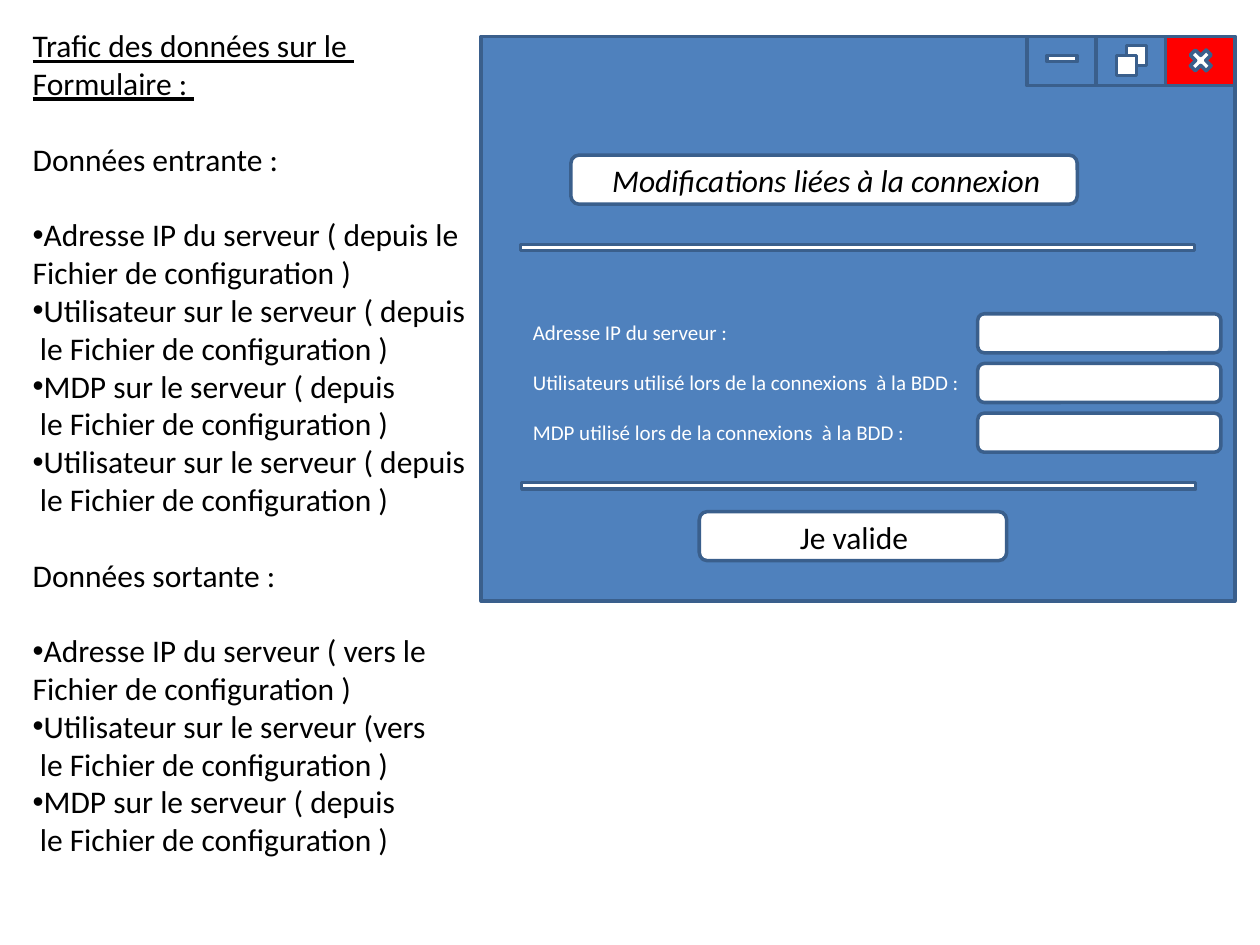
from lxml import etree
from pptx import Presentation
from pptx.dml.color import RGBColor
from pptx.enum.shapes import MSO_SHAPE
from pptx.enum.text import MSO_ANCHOR, MSO_AUTO_SIZE, PP_ALIGN
from pptx.oxml.ns import qn
from pptx.util import Pt

RECT = MSO_SHAPE.RECTANGLE
ROUND = MSO_SHAPE.ROUNDED_RECTANGLE
CROSS = MSO_SHAPE.MATH_MULTIPLY
TOP, LEFT = MSO_ANCHOR.TOP, PP_ALIGN.LEFT
FIT, NO_FIT = MSO_AUTO_SIZE.SHAPE_TO_FIT_TEXT, MSO_AUTO_SIZE.NONE

FONT = "Calibri"
BLUE, EDGE, RED, WHITE, BLACK = "4F81BD", "3A5F8C", "FF0000", "FFFFFF", "000000"
LINE_HEIGHT = 21.6

HEADING = ["Trafic des données sur le ", "Formulaire : "]
FLOWS = [
    ("Données entrante :", [
        ("Adresse IP du serveur ( depuis le", "Fichier de configuration )"),
        ("Utilisateur sur le serveur ( depuis", " le Fichier de configuration )"),
        ("MDP sur le serveur ( depuis", " le Fichier de configuration )"),
        ("Utilisateur sur le serveur ( depuis", " le Fichier de configuration )"),
    ]),
    ("Données sortante :", [
        ("Adresse IP du serveur ( vers le", "Fichier de configuration )"),
        ("Utilisateur sur le serveur (vers", " le Fichier de configuration )"),
        ("MDP sur le serveur ( depuis", " le Fichier de configuration )"),
    ]),
]
FIELDS = [
    ("Adresse IP du serveur :", 126.7),
    ("Utilisateurs utilisé lors de la connexions  à la BDD :", 261.4),
    ("MDP utilisé lors de la connexions  à la BDD :", 229.7),
]

WINDOW = (275, 20.9, 430.6, 322.6)
BUTTON_WIDTH, BUTTON_HEIGHT = 39.6, 28.1
BUTTON_FILLS = [BLUE, BLUE, RED]
FIELD_TOP, FIELD_STEP = 179.3, 28.4


def color(value):
    return RGBColor.from_string(value)


def add_box(page, kind, left, top, width, height, fill=WHITE):
    box = page.shapes.add_shape(kind, Pt(left), Pt(top), Pt(width), Pt(height))
    box.shadow.inherit = False
    box.fill.solid()
    box.fill.fore_color.rgb = color(fill)
    box.line.color.rgb = color(EDGE)
    box.line.width = Pt(2)
    return box


def place(shape, left, top, width, height):
    shape.left, shape.top = Pt(left), Pt(top)
    shape.width, shape.height = Pt(width), Pt(height)


def write(frame, text, first=False, size=18, ink=BLACK, italic=False,
          underline=False, bullet=False, before=0):
    para = frame.paragraphs[0] if first else frame.add_paragraph()
    para.alignment = LEFT
    para.space_before = Pt(before)
    span = para.add_run()
    span.text = text
    font = span.font
    font.name, font.size = FONT, Pt(size)
    font.italic, font.underline = italic, underline
    font.color.rgb = color(ink)
    properties = para._p.get_or_add_pPr()
    properties.set("marL", "0")
    properties.set("indent", "0")
    if bullet:
        etree.SubElement(properties, qn("a:buFont")).set("typeface", "Arial")
        etree.SubElement(properties, qn("a:buChar")).set("char", "•")
    else:
        etree.SubElement(properties, qn("a:buNone"))


def prepare(frame, wrap=False, fit=NO_FIT):
    frame.word_wrap = wrap
    frame.auto_size = fit
    frame.vertical_anchor = TOP
    return frame


def add_label(page, text, left, top, width, height, wrap=False, **style):
    box = page.shapes.add_textbox(Pt(left), Pt(top), Pt(width), Pt(height))
    write(prepare(box.text_frame, wrap, FIT), text, first=True, **style)


def add_traffic(page):
    title, body = page.placeholders
    left, top, width = 11.5, 11.5, 265
    place(title, left, top, width, 2 * LINE_HEIGHT + 7.2)
    frame = prepare(title.text_frame)
    for index, line in enumerate(HEADING):
        write(frame, line, first=index == 0, underline=True)

    offset = 3 * LINE_HEIGHT
    place(body, left, top + offset, width, 487.4 - offset)
    frame = prepare(body.text_frame)
    for group, (heading, items) in enumerate(FLOWS):
        write(frame, heading, first=group == 0, before=LINE_HEIGHT if group else 0)
        for index, (line, rest) in enumerate(items):
            write(frame, line, bullet=True, before=0 if index else LINE_HEIGHT)
            write(frame, rest)


def add_window(page):
    left, top, width, height = WINDOW
    add_box(page, RECT, left, top, width, height, BLUE)
    first_button = left + width - len(BUTTON_FILLS) * BUTTON_WIDTH
    for index, fill in enumerate(BUTTON_FILLS):
        add_box(page, RECT, first_button + index * BUTTON_WIDTH, top,
                BUTTON_WIDTH, BUTTON_HEIGHT, fill)
    add_box(page, RECT, 598.3, 31.7, 17.3, 3.6)
    for icon_left, icon_top in [(643.7, 25.9), (637.9, 31.7)]:
        add_box(page, RECT, icon_left, icon_top, 11.5, 11.5)
    add_box(page, CROSS, 677.5, 25.9, 17.3, 17.3)


def add_form(page):
    add_box(page, ROUND, 326.2, 88.6, 289.4, 28.1)
    add_label(page, "Modifications liées à la connexion", 342.7, 88.6, 294.5, 28.8,
              wrap=True, italic=True)
    for left, top in [(297.4, 139.7), (298.1, 275.8)]:
        add_box(page, RECT, left, top, 385.2, 3.6)
    for index, (label, width) in enumerate(FIELDS):
        top = FIELD_TOP + index * FIELD_STEP
        add_label(page, label, 297.4, top, width, 21.6, size=12, ink=WHITE)
        add_box(page, ROUND, 558.7, top, 139, 22.3)
    add_box(page, ROUND, 399.6, 292.3, 175.7, 28.1)
    add_label(page, "Je valide", 450, 292.3, 81.4, 28.8)


def main():
    deck = Presentation()
    deck.slide_width, deck.slide_height = Pt(720), Pt(540)
    page = deck.slides.add_slide(deck.slide_layouts[1])
    add_window(page)
    add_form(page)
    add_traffic(page)
    deck.save("out.pptx")


if __name__ == "__main__":
    main()
